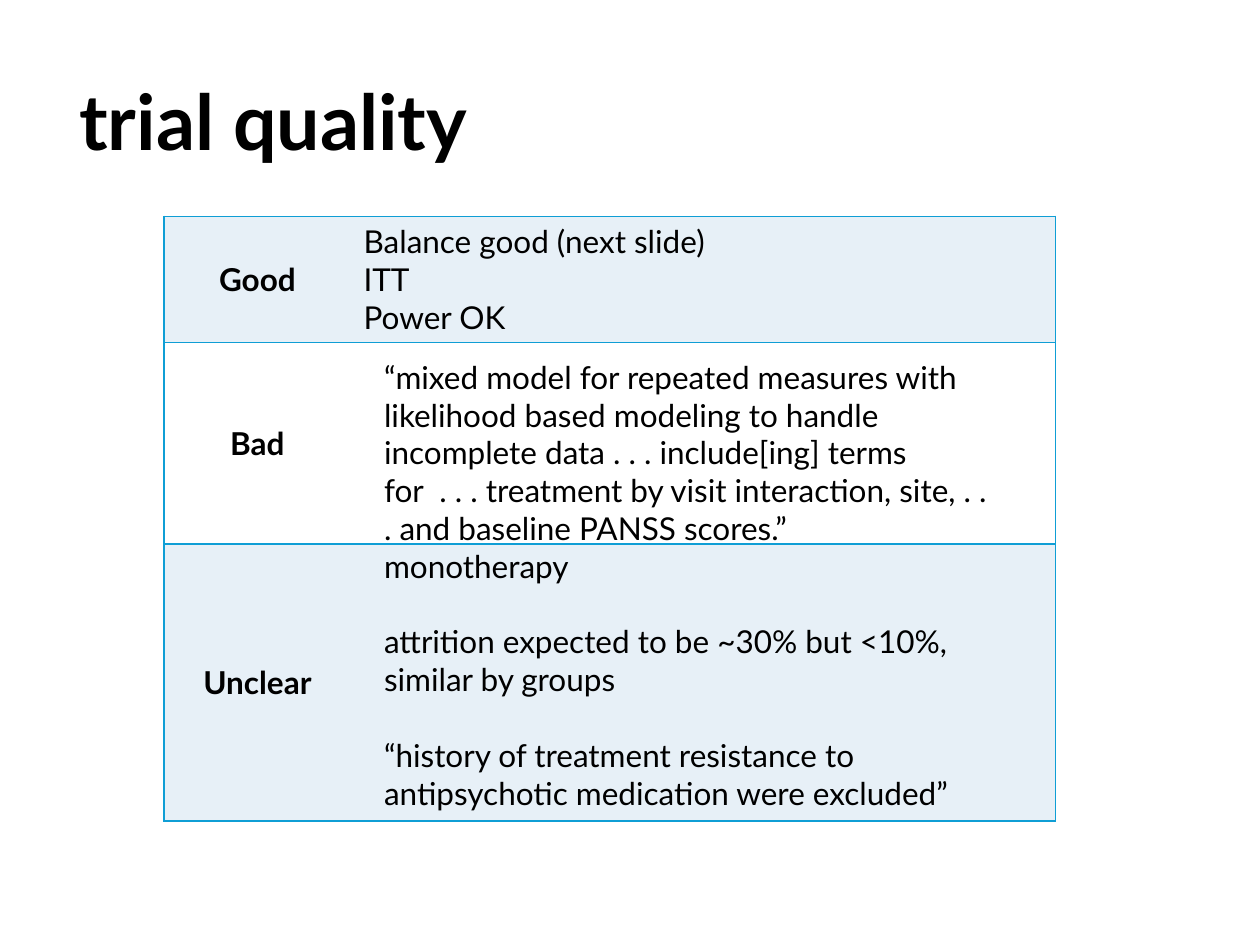
import pptx
import pptx.dml.color
import pptx.enum.text
import pptx.oxml.ns
import pptx.util
from lxml import etree

Pt = pptx.util.Pt
ANCHOR = pptx.enum.text.MSO_ANCHOR
ALIGN = pptx.enum.text.PP_ALIGN
COLORS = {"text": "000000", "border": "0F9ED5", "band": "E7F0F7", "plain": "FFFFFF"}
NO_BREAK = chr(160)  # keeps the first ellipsis on one line


class SlideBuilder:
    """Holds the style and the current slide."""

    font_name = "Lato"
    body_size = 18
    line_height = 21.6

    def __init__(self, slide):
        self.slide = slide

    def color(self, name):
        return pptx.dml.color.RGBColor.from_string(COLORS[name])

    def fill_text(self, frame, lines, size=body_size, bold=False, align=ALIGN.LEFT,
                  gap=0, spacing=None):
        for index, line in enumerate(lines):
            paragraph = frame.add_paragraph() if index else frame.paragraphs[0]
            paragraph.text = line
            paragraph.alignment = align
            if index and gap:
                paragraph.space_before = Pt(gap)
            if spacing:
                paragraph.line_spacing = spacing
            paragraph.font.name = self.font_name
            paragraph.font.size = Pt(size)
            paragraph.font.bold = bold
            paragraph.font.color.rgb = self.color("text")

    def text(self, box, lines, anchor=ANCHOR.TOP, **style):
        shape = self.slide.shapes.add_textbox(*map(Pt, box))
        shape.text_frame.word_wrap = True
        shape.text_frame.vertical_anchor = anchor
        self.fill_text(shape.text_frame, lines, **style)

    def borders(self, cell, sides):
        properties = cell._tc.get_or_add_tcPr()
        qn = pptx.oxml.ns.qn
        for side in "LRTB":
            line = etree.SubElement(properties, qn(f"a:ln{side}"), w=str(Pt(1)))
            if side in sides:
                fill = etree.SubElement(line, qn("a:solidFill"))
                etree.SubElement(fill, qn("a:srgbClr"), val=COLORS["border"])
            else:
                etree.SubElement(line, qn("a:noFill"))

    def table(self, left, top, widths, heights, rows):
        shape = self.slide.shapes.add_table(
            len(rows), len(widths), Pt(left), Pt(top), Pt(sum(widths)), Pt(sum(heights)))
        table = shape.table
        table.first_row = table.horz_banding = False
        for column, width in zip(table.columns, widths):
            column.width = Pt(width)
        for row_index, (label, lines) in enumerate(rows):
            table.rows[row_index].height = Pt(heights[row_index])
            label_cell, detail_cell = table.rows[row_index].cells
            for cell, sides in ((label_cell, "LTB"), (detail_cell, "RTB")):
                self.borders(cell, sides)
                cell.fill.solid()
                cell.fill.fore_color.rgb = self.color("plain" if row_index % 2 else "band")
                cell.vertical_anchor = ANCHOR.MIDDLE
            self.fill_text(label_cell.text_frame, [label], bold=True, align=ALIGN.CENTER)
            self.fill_text(detail_cell.text_frame, lines)


def main():
    presentation = pptx.Presentation()
    presentation.slide_width, presentation.slide_height = Pt(720), Pt(540)
    builder = SlideBuilder(presentation.slides.add_slide(presentation.slide_layouts[6]))

    # Title
    builder.text((38.2, 19.4, 620.6, 104.4), ["trial quality"], anchor=ANCHOR.MIDDLE,
                 size=44, bold=True, spacing=0.9)

    # Quality table
    builder.table(93.6, 123.6, (107, 402.5), (72, 115.2, 158.4), [
        ("Good", ["Balance good (next slide)", "ITT", "Power OK"]),
        ("Bad", []),
        ("Unclear", []),
    ])

    # Details laid over the two lower rows
    ellipsis = NO_BREAK.join("...")
    builder.text((212.4, 200.9, 360, 116.6), [
        "“mixed model for repeated measures with likelihood based modeling to handle "
        f"incomplete data . . . include[ing] terms for{NO_BREAK * 2}{ellipsis} treatment "
        "by visit interaction, site, . . . and baseline PANSS scores.”"])
    builder.text((212.4, 308.9, 360, 159.8), [
        "monotherapy",
        "attrition expected to be ~30% but <10%, similar by groups",
        "“history of treatment resistance to antipsychotic medication were excluded”",
    ], gap=builder.line_height)

    presentation.save("out.pptx")


if __name__ == "__main__":
    main()
